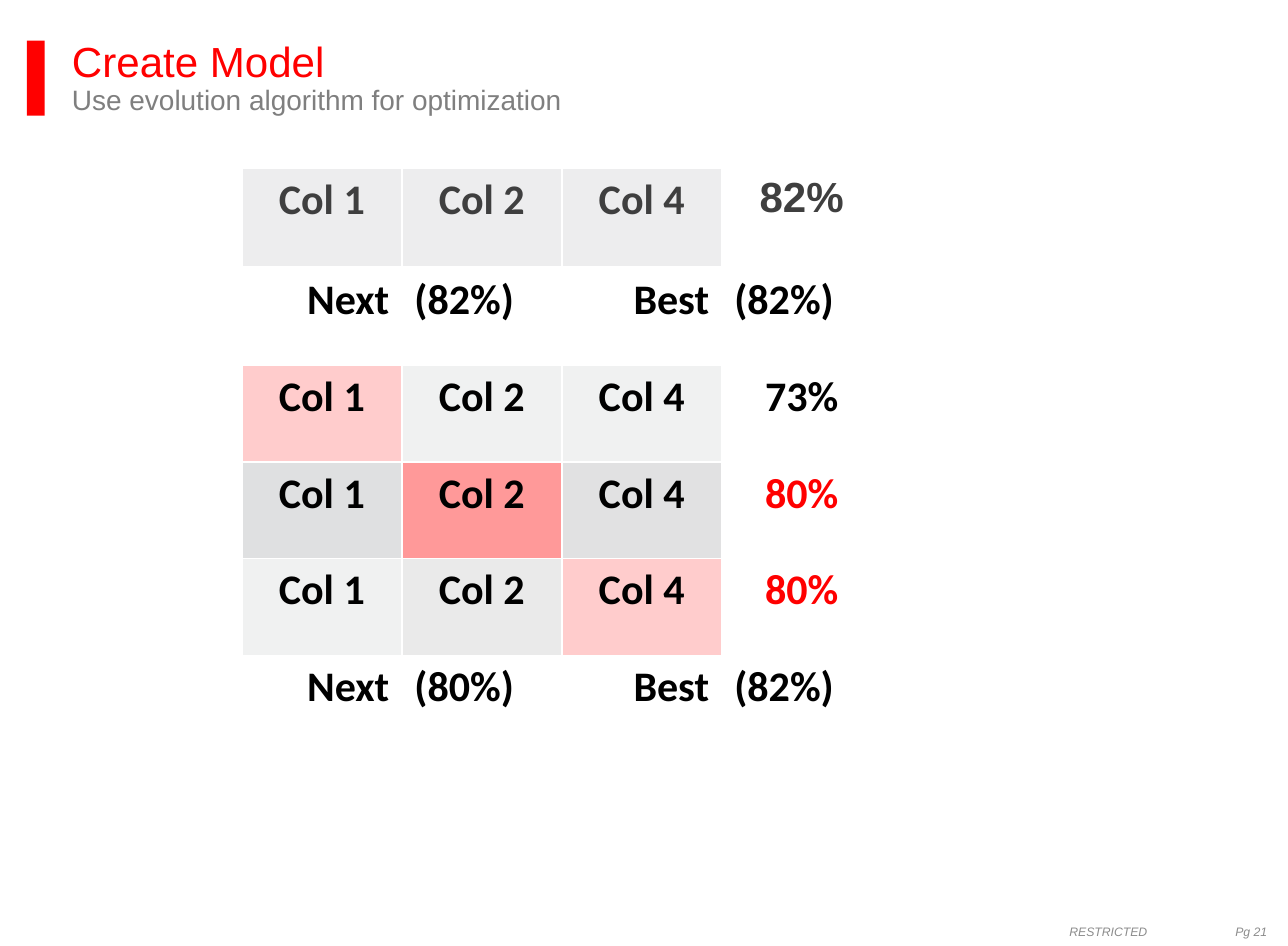
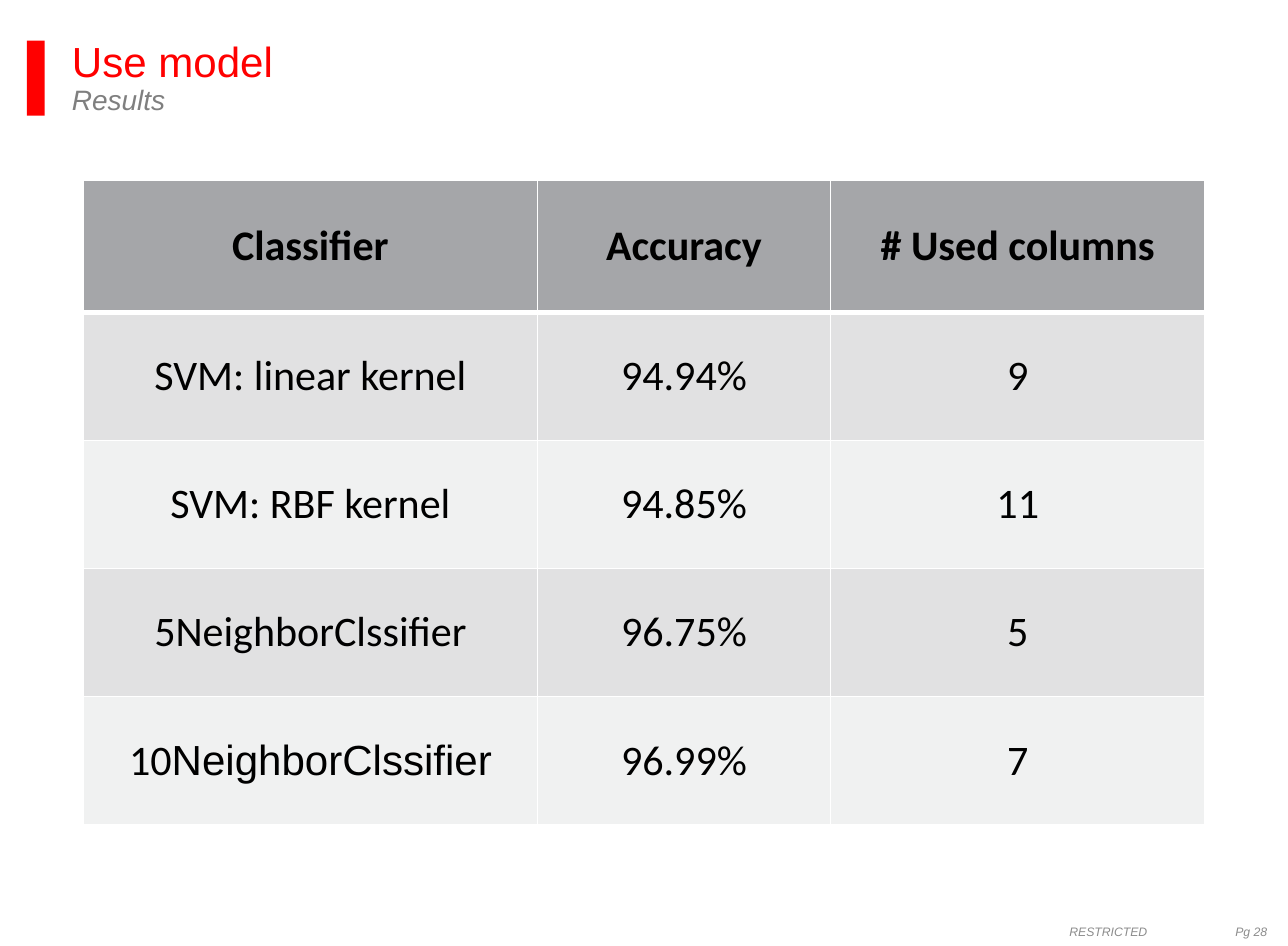
from dataclasses import dataclass
from typing import Sequence

from lxml.etree import SubElement
from pptx import Presentation
from pptx.dml.color import RGBColor
from pptx.enum.shapes import MSO_SHAPE as Preset
from pptx.enum.text import MSO_ANCHOR as Anchor, PP_ALIGN as Align
from pptx.oxml.ns import qn
from pptx.util import Cm, Pt

RED, BLACK, WHITE = "FF0000", "000000", "FFFFFF"
SUBTITLE, FOOTER = "7F7F7F", "8C8C8C"
CHARCOAL, HEADER = "3F3F3F", "A5A6A9"
PALE, LIGHT, MEDIUM = "F0F1F1", "EDEDEE", "E1E1E2"
SOFT_RED, STRONG_RED = "FFCCCC", "FF9999"
HEADING_FONT, TABLE_FONT = "Arial", "Calibri"
TABLE_SIZE = 24


@dataclass(frozen=True)
class Cell:
    text: str = ""
    fill: str = WHITE
    color: str = BLACK
    align: Align = Align.CENTER
    font: str = TABLE_FONT
    bold: bool = False
    arial_tail: str = ""


@dataclass(frozen=True)
class Grid:
    left: float
    top: float
    widths: Sequence[float]
    heights: Sequence[float]
    anchor: Anchor
    rows: Sequence[Sequence[Cell]]


@dataclass(frozen=True)
class Page:
    title: str
    subtitle: str
    subtitle_italic: bool
    number: int
    grid: Grid


def rgb(value: str) -> RGBColor:
    return RGBColor.from_string(value)


def style(span, font: str, size: float, color: str,
          bold: bool = False, italic: bool = False) -> None:
    span.font.name = font
    span.font.size = Pt(size)
    span.font.color.rgb = rgb(color)
    span.font.bold = bold
    span.font.italic = italic


def add_box(slide, left: float, top: float, width: float, height: float):
    box = slide.shapes.add_textbox(Cm(left), Cm(top), Cm(width), Cm(height))
    frame = box.text_frame
    frame.word_wrap = True
    frame.margin_left = frame.margin_right = frame.margin_top = 0
    frame.margin_bottom = Cm(0.05)
    return frame


def add_heading(slide, page: Page) -> None:
    bar = slide.shapes.add_shape(Preset.RECTANGLE, Cm(0.54), Cm(0.82), Cm(0.36), Cm(1.51))
    bar.shadow.inherit = False
    bar.fill.solid()
    bar.fill.fore_color.rgb = rgb(RED)
    bar.line.fill.background()

    para = add_box(slide, 1.45, 0.82, 24.13, 1.9).paragraphs[0]
    para.text = f"{page.title}\v{page.subtitle}"
    para.line_spacing = 0.9
    title, subtitle = para.runs
    style(title, HEADING_FONT, 24, RED)
    style(subtitle, HEADING_FONT, 16, SUBTITLE, italic=page.subtitle_italic)


def add_footer(slide, number: int) -> None:
    frame = add_box(slide, 21.53, 18.29, 4.3, 1.0)
    frame.vertical_anchor = Anchor.MIDDLE
    para = frame.paragraphs[0]
    para.text = f"RESTRICTED\tPg {number}"
    tabs = SubElement(para._p.get_or_add_pPr(), qn("a:tabLst"))
    SubElement(tabs, qn("a:tab"), pos=str(Cm(3.34)), algn="l")
    for span in para.runs:
        style(span, HEADING_FONT, 7, FOOTER, italic=True)


def add_borders(cell, row: int) -> None:
    properties = cell._tc.get_or_add_tcPr()
    header_edges = {(0, "lnB"), (1, "lnT")}
    for side in ("lnL", "lnR", "lnT", "lnB"):
        width = Pt(3 if (row, side) in header_edges else 1)
        line = SubElement(properties, qn(f"a:{side}"), w=str(width))
        fill = SubElement(line, qn("a:solidFill"))
        SubElement(fill, qn("a:srgbClr"), val=WHITE)


def fill_cell(target, cell: Cell, row: int, anchor: Anchor) -> None:
    add_borders(target, row)
    target.fill.solid()
    target.fill.fore_color.rgb = rgb(cell.fill)
    target.vertical_anchor = anchor
    if not cell.text:
        return
    para = target.text_frame.paragraphs[0]
    para.text = cell.text
    para.alignment = cell.align
    style(para.runs[0], cell.font, TABLE_SIZE, cell.color, cell.bold)
    if cell.arial_tail:
        tail = para.add_run()
        tail.text = cell.arial_tail
        style(tail, HEADING_FONT, TABLE_SIZE, cell.color, cell.bold)


def add_grid(slide, grid: Grid) -> None:
    table = slide.shapes.add_table(
        len(grid.heights), len(grid.widths), Cm(grid.left), Cm(grid.top),
        Cm(sum(grid.widths)), Cm(sum(grid.heights))).table
    table.first_row = table.horz_banding = False
    for column, width in zip(table.columns, grid.widths):
        column.width = Cm(width)
    for index, (row, height) in enumerate(zip(table.rows, grid.heights)):
        row.height = Cm(height)
        for target, cell in zip(row.cells, grid.rows[index]):
            fill_cell(target, cell, index, grid.anchor)


def candidate_row(fills: Sequence[str], score: str, color: str = BLACK,
                  score_color: str = BLACK, score_font: str = TABLE_FONT) -> list[Cell]:
    names = ("Col 1", "Col 2", "Col 4")
    columns = [Cell(name, fill, color, bold=True) for name, fill in zip(names, fills)]
    result = Cell(score, color=score_color, font=score_font, bold=True)
    return [Cell(), *columns, result, Cell(), Cell()]


def summary_row(next_score: str, best_score: str) -> list[Cell]:
    pairs = (("Next", next_score), ("Best", best_score))
    cells = [Cell(text, align=align, bold=True)
             for pair in pairs
             for text, align in zip(pair, (Align.RIGHT, Align.LEFT))]
    return [Cell(), *cells, Cell(), Cell()]


def result_row(values: Sequence[str], fill: str) -> list[Cell]:
    return [Cell(value, fill) for value in values]


EVOLUTION = Grid(
    1.65, 3.38, [3.22] * 7, [2.02] + [1.95] * 6, Anchor.TOP,
    [
        candidate_row([LIGHT] * 3, "82%", CHARCOAL, CHARCOAL, HEADING_FONT),
        summary_row("(82%)", "(82%)"),
        candidate_row([SOFT_RED, PALE, PALE], "73%"),
        candidate_row(["DFE0E1", STRONG_RED, MEDIUM], "80%", score_color=RED),
        candidate_row([PALE, "EAEAEA", SOFT_RED], "80%", score_color=RED),
        summary_row("(80%)", "(82%)"),
        [Cell()] * 7,
    ])

RESULTS = Grid(
    1.68, 3.63, [9.14, 5.9, 7.54], [2.66] + [2.58] * 4, Anchor.MIDDLE,
    [
        [Cell(name, HEADER, bold=True)
         for name in ("Classifier", "Accuracy", "# Used columns")],
        result_row(("SVM: linear kernel", "94.94%", "9"), MEDIUM),
        result_row(("SVM: RBF kernel", "94.85%", "11"), PALE),
        result_row(("5NeighborClssifier", "96.75%", "5"), MEDIUM),
        [Cell("10", PALE, arial_tail="NeighborClssifier"),
         *result_row(("96.99%", "7"), PALE)],
    ])

PAGES = [
    Page("Create Model", "Use evolution algorithm for optimization", False, 21, EVOLUTION),
    Page("Use model", "Results", True, 28, RESULTS),
]


def main() -> None:
    deck = Presentation()
    deck.slide_width, deck.slide_height = Cm(25.93), Cm(19.05)
    for page in PAGES:
        slide = deck.slides.add_slide(deck.slide_layouts[6])
        add_heading(slide, page)
        add_footer(slide, page.number)
        add_grid(slide, page.grid)
    deck.save("out.pptx")


if __name__ == "__main__":
    main()
